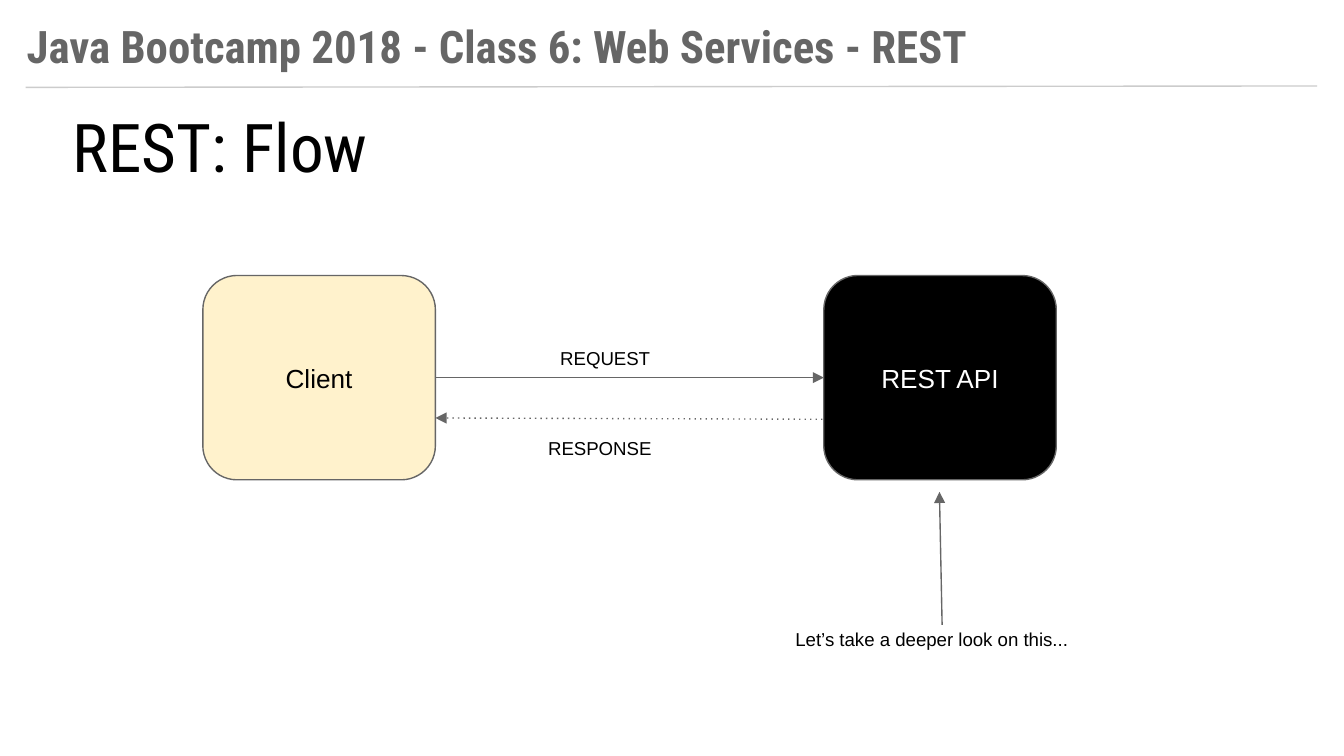
from dataclasses import dataclass
from typing import Optional

import lxml.etree
import pptx
import pptx.dml.color
import pptx.enum.shapes
import pptx.enum.text
import pptx.oxml.ns
import pptx.util

Inches = pptx.util.Inches
Align = pptx.enum.text.PP_ALIGN
Anchor = pptx.enum.text.MSO_ANCHOR


@dataclass(frozen=True)
class Theme:
    black: str = "000000"
    white: str = "FFFFFF"
    gray: str = "666666"
    pale: str = "CCCCCC"
    cream: str = "FFF2CC"
    head: str = "Roboto Condensed"
    body: str = "Arial"
    title: int = 36
    banner: int = 24
    node: int = 14
    note: int = 10
    stroke: float = 0.75
    inset: float = 0.1


THEME = Theme()


@dataclass(frozen=True)
class Style:
    size: int
    font: str = THEME.body
    color: str = THEME.black
    bold: bool = False
    align: Align = Align.LEFT
    anchor: Anchor = Anchor.TOP


@dataclass(frozen=True)
class Node:
    text: str
    left: float
    fill: str
    color: str


@dataclass(frozen=True)
class Label:
    text: str
    left: float
    top: float
    width: float
    style: Style = Style(THEME.note)


@dataclass(frozen=True)
class Line:
    start: tuple[float, float]
    end: tuple[float, float]
    color: str = THEME.gray
    dash: Optional[str] = None
    arrow: bool = True


PAGE_WIDTH = 10
PAGE_HEIGHT = PAGE_WIDTH * 9 / 16
TOP, WIDTH, HEIGHT = 2.05, 1.73, 1.52
LABEL_HEIGHT = 0.5
LEFT_SIDE, RIGHT_SIDE = 1, 3

CLIENT = Node("Client", 1.51, THEME.cream, THEME.black)
SERVER = Node("REST API", 6.13, THEME.black, THEME.white)
MIDDLE = TOP + HEIGHT / 2

RULE = Line((0.19, 0.65), (9.8, 0.64), THEME.pale, arrow=False)
REQUEST = Line((CLIENT.left + WIDTH, MIDDLE), (SERVER.left, MIDDLE))
REPLY = Line((6.12, 3.12), (3.24, 3.11), dash="dot")
POINTER = Line((7.01, 4.65), (6.99, 3.66))

LABELS = [
    Label("REQUEST", 4.07, 2.48, 1.11),
    Label("RESPONSE", 3.98, 3.15, 1.11),
    Label("Let’s take a deeper look on this...", 5.82, 4.57, 2.67),
    Label("Java Bootcamp 2018 - Class 6: Web Services - REST", 0.1, 0.04, 7.84,
          Style(THEME.banner, THEME.head, THEME.gray, bold=True)),
]


def paint(color: str) -> pptx.dml.color.RGBColor:
    return pptx.dml.color.RGBColor.from_string(color)


def write(shape, text: str, style: Style) -> None:
    frame = shape.text_frame
    frame.text = text
    frame.word_wrap = True
    frame.auto_size = pptx.enum.text.MSO_AUTO_SIZE.NONE
    frame.vertical_anchor = style.anchor
    frame.margin_left = frame.margin_right = Inches(THEME.inset)
    frame.margin_top = frame.margin_bottom = Inches(THEME.inset)
    para = frame.paragraphs[0]
    para.alignment = style.align
    para.font.size = pptx.util.Pt(style.size)
    para.font.name = style.font
    para.font.bold = style.bold
    para.font.color.rgb = paint(style.color)


def add_node(slide, node: Node):
    box = slide.shapes.add_shape(
        pptx.enum.shapes.MSO_SHAPE.ROUNDED_RECTANGLE,
        Inches(node.left), Inches(TOP), Inches(WIDTH), Inches(HEIGHT))
    box.shadow.inherit = False
    box.fill.solid()
    box.fill.fore_color.rgb = paint(node.fill)
    box.line.color.rgb = paint(THEME.gray)
    box.line.width = pptx.util.Pt(THEME.stroke)
    write(box, node.text, Style(THEME.node, color=node.color,
                                align=Align.CENTER, anchor=Anchor.MIDDLE))
    return box


def add_label(slide, label: Label) -> None:
    box = slide.shapes.add_textbox(Inches(label.left), Inches(label.top),
                                   Inches(label.width), Inches(LABEL_HEIGHT))
    write(box, label.text, label.style)


def add_line(slide, line: Line):
    link = slide.shapes.add_connector(
        pptx.enum.shapes.MSO_CONNECTOR.STRAIGHT,
        *map(Inches, line.start + line.end))
    link.line.color.rgb = paint(line.color)
    link.line.width = pptx.util.Pt(THEME.stroke)
    qn = pptx.oxml.ns.qn
    props = link._element.spPr
    stroke = props.find(qn("a:ln"))
    if line.dash:
        lxml.etree.SubElement(stroke, qn("a:prstDash"), val=line.dash)
    if line.arrow:
        lxml.etree.SubElement(stroke, qn("a:tailEnd"), type="triangle")
    lxml.etree.SubElement(props, qn("a:effectLst"))
    return link


def main() -> None:
    deck = pptx.Presentation()
    deck.slide_width = Inches(PAGE_WIDTH)
    deck.slide_height = Inches(PAGE_HEIGHT)
    slide = deck.slides.add_slide(deck.slide_layouts.get_by_name("Title Only"))

    title = slide.shapes.title
    title.left, title.top = Inches(0.44), Inches(0.68)
    title.width, title.height = Inches(6.51), Inches(0.78)
    write(title, "REST: Flow", Style(THEME.title, THEME.head))

    add_line(slide, RULE)
    client, server = add_node(slide, CLIENT), add_node(slide, SERVER)
    request = add_line(slide, REQUEST)
    request.begin_connect(client, RIGHT_SIDE)
    request.end_connect(server, LEFT_SIDE)
    for line in (REPLY, POINTER):
        add_line(slide, line)
    for label in LABELS:
        add_label(slide, label)
    deck.save("out.pptx")


if __name__ == "__main__":
    main()
